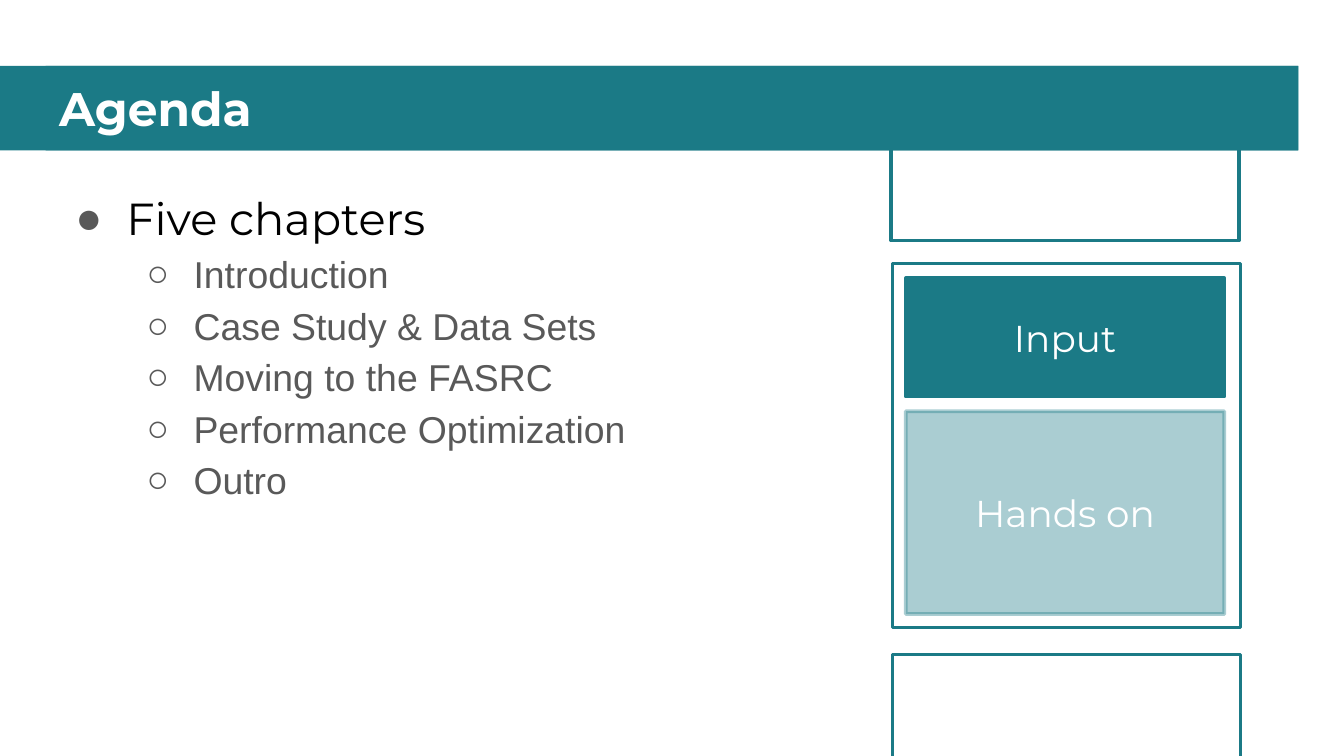
"""Builds the agenda slide with its chapter list and session blocks."""
from dataclasses import dataclass

from lxml.etree import SubElement
from pptx import Presentation
from pptx.dml.color import RGBColor
from pptx.enum.shapes import MSO_SHAPE
from pptx.enum.text import MSO_ANCHOR, MSO_AUTO_SIZE, PP_ALIGN
from pptx.oxml.ns import qn
from pptx.util import Inches, Pt


@dataclass(frozen=True)
class Theme:
    teal: RGBColor = RGBColor(0x1B, 0x7A, 0x86)
    white: RGBColor = RGBColor(0xFF, 0xFF, 0xFF)
    black: RGBColor = RGBColor(0, 0, 0)
    gray: RGBColor = RGBColor(0x59, 0x59, 0x59)
    heading_font: str = "Montserrat"
    body_font: str = "Arial"
    title_size: float = 25.2
    lead_size: float = 24
    text_size: float = 20
    line_width: float = 2


class SlideBuilder:
    def __init__(self, slide, theme):
        self.slide = slide
        self.theme = theme

    def place(self, shape, left, top, width, height):
        shape.left, shape.top = Inches(left), Inches(top)
        shape.width, shape.height = Inches(width), Inches(height)

    def frame(self, shape, anchor):
        text_frame = shape.text_frame
        text_frame.word_wrap = True
        text_frame.auto_size = MSO_AUTO_SIZE.NONE
        text_frame.vertical_anchor = anchor
        text_frame.margin_left = text_frame.margin_right = Inches(0.1)
        text_frame.margin_top = text_frame.margin_bottom = Inches(0.1)
        return text_frame

    def run(self, paragraph, text, size, font, color, bold=False):
        run = paragraph.add_run()
        run.text = text
        run.font.size = Pt(size)
        run.font.name = font
        run.font.bold = bold
        run.font.color.rgb = color

    def set_alpha(self, properties, percent):
        for color in properties.iter(qn("a:srgbClr")):
            SubElement(color, qn("a:alpha"), val=str(percent * 1000))

    def rectangle(self, box, filled=False, outlined=True, alpha=None, label=None):
        theme = self.theme
        shape = self.slide.shapes.add_shape(MSO_SHAPE.RECTANGLE, *map(Inches, box))
        shape.shadow.inherit = False
        if filled:
            shape.fill.solid()
            shape.fill.fore_color.rgb = theme.teal
        else:
            shape.fill.background()
        if outlined:
            shape.line.color.rgb = theme.teal
            shape.line.width = Pt(theme.line_width)
        else:
            shape.line.fill.background()
        if alpha:
            self.set_alpha(shape.element.spPr, alpha)
        if label:
            paragraph = self.frame(shape, MSO_ANCHOR.MIDDLE).paragraphs[0]
            paragraph.alignment = PP_ALIGN.CENTER
            self.run(paragraph, label, theme.text_size, theme.heading_font, theme.white)
        return shape

    def title(self, text, box):
        theme = self.theme
        title = self.slide.shapes.title
        self.place(title, *box)
        title.fill.solid()
        title.fill.fore_color.rgb = theme.teal
        paragraph = self.frame(title, MSO_ANCHOR.MIDDLE).paragraphs[0]
        paragraph.alignment = PP_ALIGN.LEFT
        self.run(paragraph, text, theme.title_size, theme.heading_font, theme.white, True)
        left, top, width, height = box
        band = self.rectangle((0, top, left + width, height), filled=True, outlined=False)
        title.element.addprevious(band.element)

    def bullet(self, paragraph, character, indent, hanging):
        properties = paragraph._p.get_or_add_pPr()
        properties.set("marL", str(Inches(indent)))
        properties.set("indent", str(-Inches(hanging)))
        color = SubElement(properties, qn("a:buClr"))
        SubElement(color, qn("a:srgbClr"), val=str(self.theme.gray))
        SubElement(properties, qn("a:buChar"), char=character)
        paragraph.line_spacing = 1.15
        paragraph.space_before = paragraph.space_after = Pt(0)

    def chapter_list(self, lead, chapters, box):
        theme = self.theme
        body = self.slide.placeholders[1]
        self.place(body, *box)
        text_frame = self.frame(body, MSO_ANCHOR.TOP)
        paragraph = text_frame.paragraphs[0]
        self.bullet(paragraph, "●", 0.5, 0.38)
        self.run(paragraph, lead, theme.lead_size, theme.heading_font, theme.black)
        for chapter in chapters:
            paragraph = text_frame.add_paragraph()
            paragraph.level = 1
            self.bullet(paragraph, "○", 1, 0.35)
            self.run(paragraph, chapter, theme.text_size, theme.body_font, theme.gray)


def main():
    presentation = Presentation()
    presentation.slide_width = Inches(10)
    presentation.slide_height = Inches(10 * 9 / 16)
    slide = presentation.slides.add_slide(presentation.slide_layouts[1])
    builder = SlideBuilder(slide, Theme())

    builder.title("Agenda", (0.34, 0.49, 9.32, 0.63))
    chapters = [
        "Introduction",
        "Case Study & Data Sets",
        "Moving to the FASRC",
        "Performance Optimization",
        "Outro",
    ]
    builder.chapter_list("Five chapters", chapters, (0.34, 1.26, 9.32, 3.41))

    builder.rectangle((6.64, 1.96, 2.59, 2.71))
    builder.rectangle((6.74, 2.07, 2.37, 0.88), filled=True, label="Input")
    builder.rectangle((6.74, 3.06, 2.37, 1.51), filled=True, alpha=37, label="Hands on")
    for left, top, height in ((6.63, 0.96, 0.83), (6.64, 4.87, 1.04)):
        builder.rectangle((left, top, 2.59, height))

    presentation.save("out.pptx")


if __name__ == "__main__":
    main()
